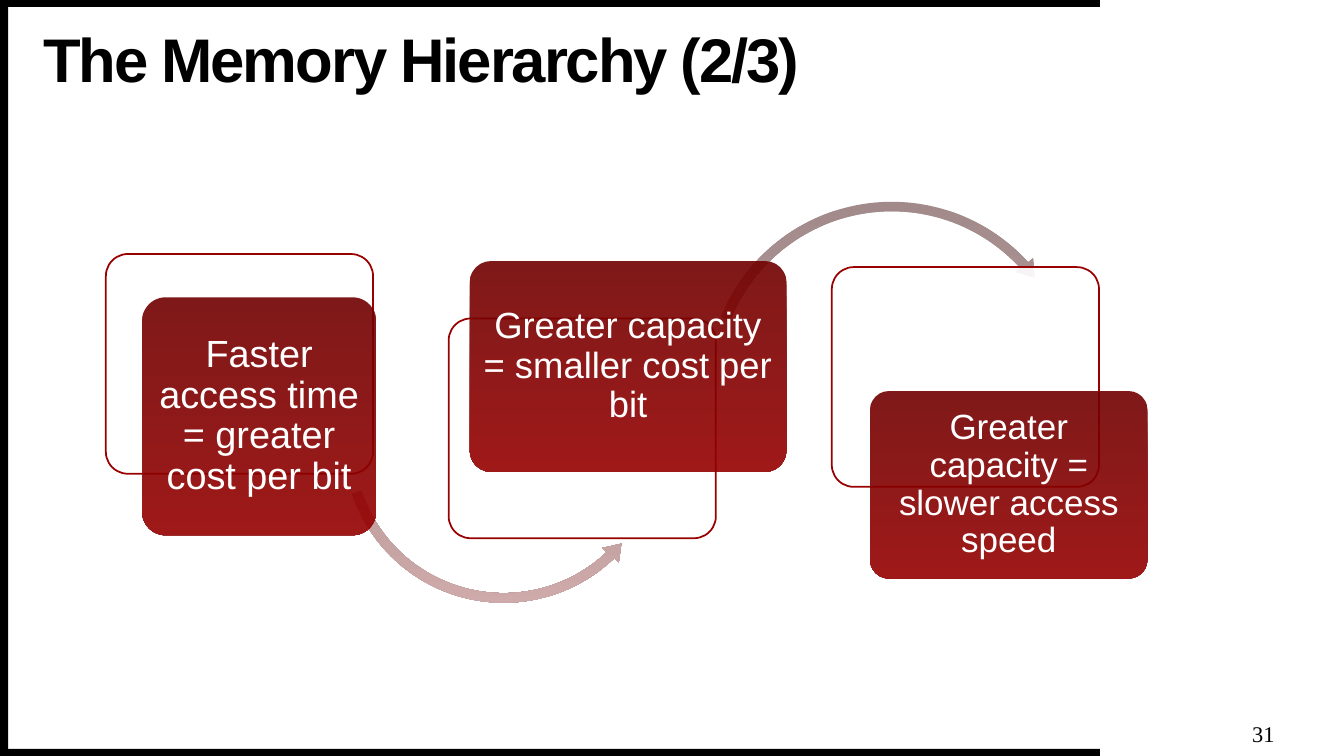
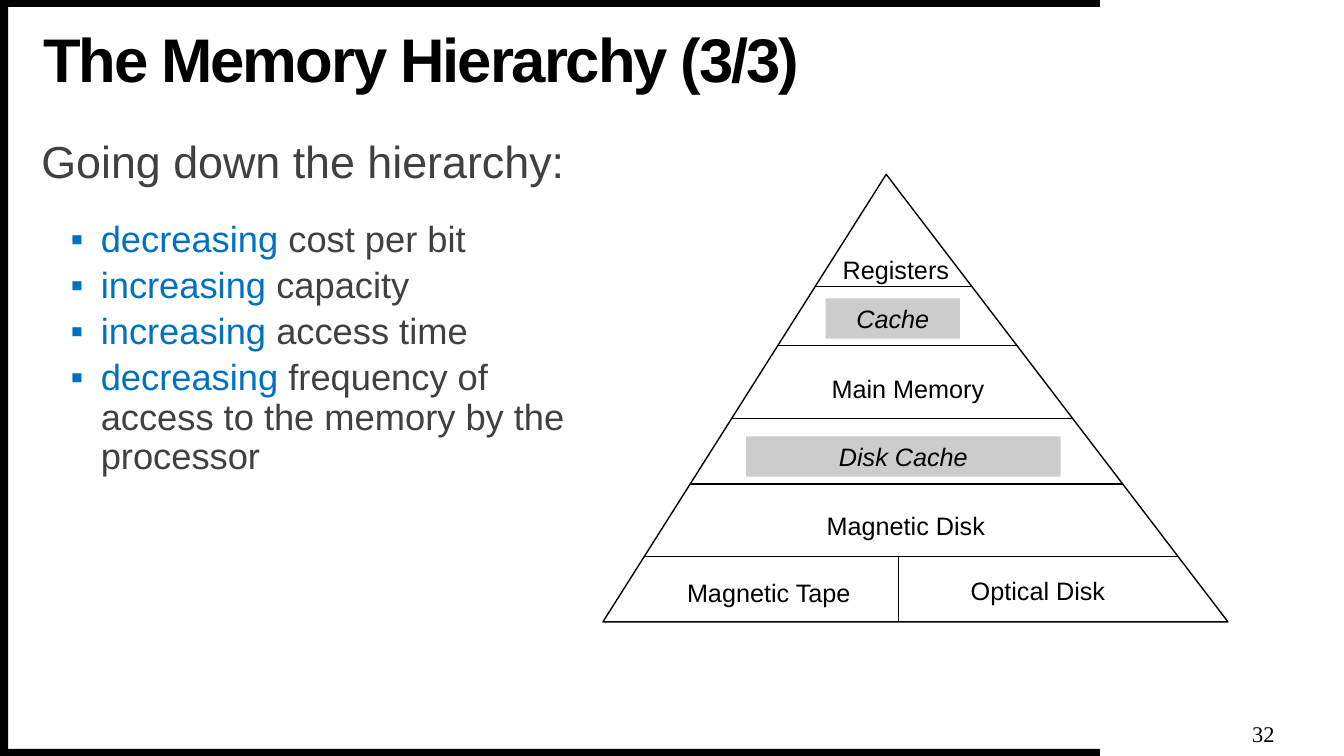
"""Builds two slides on the memory hierarchy."""
from dataclasses import dataclass
from typing import NamedTuple, Optional

from lxml import etree
from pptx import Presentation
from pptx.dml.color import RGBColor
from pptx.enum.shapes import MSO_CONNECTOR, MSO_SHAPE
from pptx.enum.text import MSO_ANCHOR, PP_ALIGN
from pptx.oxml.ns import qn
from pptx.util import Inches, Pt

BLACK = RGBColor(0x00, 0x00, 0x00)
WHITE = RGBColor(0xFF, 0xFF, 0xFF)
DARK_GREY = RGBColor(0x40, 0x40, 0x40)
LIGHT_GREY = RGBColor(0xCC, 0xCC, 0xCC)
BLUE = RGBColor(0x00, 0x70, 0xC0)
RED = RGBColor(0x99, 0x00, 0x00)
CARD_COLORS = (RGBColor(0x72, 0x00, 0x00), RGBColor(0x95, 0x00, 0x00))
ARROW_COLORS = (RGBColor(0x98, 0x7E, 0x7E), RGBColor(0xCA, 0xA1, 0xA1))

RECTANGLE = MSO_SHAPE.RECTANGLE
ROUNDED = MSO_SHAPE.ROUNDED_RECTANGLE
ARROW_OVER = MSO_SHAPE.CIRCULAR_ARROW
ARROW_UNDER = MSO_SHAPE.LEFT_CIRCULAR_ARROW
STRAIGHT = MSO_CONNECTOR.STRAIGHT
LEFT = PP_ALIGN.LEFT
CENTER = PP_ALIGN.CENTER
TOP = MSO_ANCHOR.TOP
MIDDLE = MSO_ANCHOR.MIDDLE

SANS = "Arial"
SERIF = "Times New Roman"
SLIDE_WIDTH, SLIDE_HEIGHT = 13.33, 7.5
BAND_LENGTH, BAND_THICKNESS = 10.91, 0.07


class Box(NamedTuple):
    left: float
    top: float
    width: float
    height: float

    def emu(self):
        return tuple(Inches(value) for value in self)


class Point(NamedTuple):
    x: float
    y: float


@dataclass(frozen=True)
class Arrow:
    kind: int
    box: Box
    adjustments: tuple


@dataclass(frozen=True)
class Step:
    text: str
    size: int
    outline: Point
    card: Box
    arrow: Optional[Arrow] = None


@dataclass(frozen=True)
class Level:
    text: str
    left: float
    top: float
    width: float
    shaded: bool = False


BANDS = (
    Box(0, SLIDE_HEIGHT - BAND_THICKNESS, BAND_LENGTH, BAND_THICKNESS),
    Box(0, 0, BAND_LENGTH, BAND_THICKNESS),
    Box(0, 0, 0.08, SLIDE_HEIGHT),
)
TITLE_BOX = Box(0.43, 0.25, 10.06, 0.74)
NUMBER_BOX = Box(12.38, 7.13, 0.3, 0.3)

STEPS = (
    Step("Faster access time = greater cost per bit", 27, Point(1.05, 2.52),
         Box(1.41, 2.95, 2.32, 2.36),
         Arrow(ARROW_UNDER, Box(3.35, 2.75, 3.29, 3.29),
               (0.029, 3.507, 27.823, 96.805, 0.033))),
    Step("Greater capacity = smaller cost per bit", 26, Point(4.45, 3.16),
         Box(4.66, 2.59, 3.14, 2.09),
         Arrow(ARROW_OVER, Box(6.96, 1.94, 3.77, 3.77),
               (0.025, 3.028, 190.639, 121.178, 0.029))),
    Step("Greater capacity = slower access speed", 25, Point(8.25, 2.65),
         Box(8.63, 3.88, 2.75, 1.86)),
)

TRENDS = (
    ("decreasing", " cost per bit"),
    ("increasing", " capacity"),
    ("increasing", " access time"),
    ("decreasing", " frequency of access to the memory by the processor"),
)

APEX = Point(8.79, 1.73)
BASE_LEFT = Point(5.98, 6.17)
BASE_RIGHT = Point(12.18, 6.17)
DIVIDER_TOPS = (2.84, 3.43, 4.15, 4.8, 5.52)
STORAGE_SPLIT = 8.91
LEVELS = (
    Level("Registers", 8.26, 2.47, 1.25),
    Level("Cache", 8.19, 2.96, 1.33, shaded=True),
    Level("Main Memory", 8.15, 3.65, 1.71),
    Level("Disk Cache", 7.4, 4.33, 3.12, shaded=True),
    Level("Magnetic Disk", 8.1, 5.01, 1.77),
    Level("Magnetic Tape", 6.7, 5.68, 1.85),
    Level("Optical Disk", 9.53, 5.66, 1.53),
)


def add_plain_shape(slide, kind, box: Box, fill: Optional[RGBColor] = None):
    shape = slide.shapes.add_shape(kind, *box.emu())
    shape.shadow.inherit = False
    shape.line.fill.background()
    if fill is not None:
        shape.fill.solid()
        shape.fill.fore_color.rgb = fill
    return shape


def fill_gradient(shape, colors: tuple) -> None:
    shape.fill.gradient()
    shape.fill.gradient_angle = 270
    for stop, color in zip(shape.fill.gradient_stops, colors):
        stop.color.rgb = color


def make_translucent(shape) -> None:
    for color in shape._element.spPr.iter(qn("a:srgbClr")):
        etree.SubElement(color, qn("a:alpha")).set("val", "90000")


def set_frame(shape, horizontal: float = 0, vertical: float = 0,
              anchor=MIDDLE):
    frame = shape.text_frame
    frame.word_wrap = True
    frame.vertical_anchor = anchor
    frame.margin_left = frame.margin_right = Inches(horizontal)
    frame.margin_top = frame.margin_bottom = Inches(vertical)
    return frame


def style_paragraph(paragraph, size: float, color: RGBColor, align=LEFT,
                    spacing: float = 1.0, font_name: str = SANS) -> None:
    paragraph.alignment = align
    paragraph.line_spacing = spacing
    paragraph.font.name = font_name
    paragraph.font.size = Pt(size)
    paragraph.font.color.rgb = color


def add_text(frame, text: str, size: float, color: RGBColor, **style):
    paragraph = frame.paragraphs[0]
    paragraph.add_run().text = text
    style_paragraph(paragraph, size, color, **style)
    return paragraph


def add_bullet(paragraph) -> None:
    properties = paragraph._p.get_or_add_pPr()
    properties.set("marL", str(Inches(0.59)))
    properties.set("indent", str(Inches(-0.3)))
    bullet_color = etree.Element(qn("a:buClr"))
    etree.SubElement(bullet_color, qn("a:srgbClr")).set("val", str(BLUE))
    bullet_font = etree.Element(qn("a:buFont"))
    bullet_font.set("typeface", SANS)
    bullet = etree.Element(qn("a:buChar"))
    bullet.set("char", "▪")
    defaults = properties.find(qn("a:defRPr"))
    for part in (bullet_color, bullet_font, bullet):
        defaults.addprevious(part)


def add_line(slide, start: Point, end: Point) -> None:
    line = slide.shapes.add_connector(
        STRAIGHT, *(Inches(value) for value in (*start, *end)))
    line.line.color.rgb = BLACK
    line.line.width = Pt(1)
    etree.SubElement(line._element.spPr, qn("a:effectLst"))


def add_framed_slide(presentation, title: str, number: int):
    slide = presentation.slides.add_slide(presentation.slide_layouts[6])
    for band in BANDS:
        add_plain_shape(slide, RECTANGLE, band, BLACK)
    title_frame = set_frame(slide.shapes.add_textbox(*TITLE_BOX.emu()))
    heading = add_text(title_frame, title, 44, BLACK, spacing=0.9)
    heading.font.bold = True
    heading.runs[0]._r.get_or_add_rPr().set("spc", "-150")
    number_frame = set_frame(slide.shapes.add_textbox(*NUMBER_BOX.emu()))
    add_text(number_frame, str(number), 16, BLACK, align=CENTER,
             font_name=SERIF)
    return slide


def add_step(slide, step: Step) -> None:
    outline = add_plain_shape(slide, ROUNDED, Box(*step.outline, 2.65, 2.18),
                              WHITE)
    outline.adjustments[0] = 0.1
    make_translucent(outline)
    outline.line.color.rgb = RED
    outline.line.width = Pt(1.25)
    if step.arrow is not None:
        arrow = add_plain_shape(slide, step.arrow.kind, step.arrow.box)
        for index, value in enumerate(step.arrow.adjustments):
            arrow.adjustments[index] = value
        fill_gradient(arrow, ARROW_COLORS)
        make_translucent(arrow)
    card = add_plain_shape(slide, ROUNDED, step.card)
    card.adjustments[0] = 0.1
    fill_gradient(card, CARD_COLORS)
    make_translucent(card)
    add_text(set_frame(card, 0.05, 0.04), step.text, step.size, WHITE,
             align=CENTER, spacing=0.9)


def add_trends(slide) -> None:
    body = slide.shapes.add_textbox(*Box(0.41, 1.39, 5.47, 5.12).emu())
    frame = set_frame(body, anchor=TOP)
    lead = add_text(frame, "Going down the hierarchy:", 32, DARK_GREY,
                    spacing=0.9)
    lead.space_before = Pt(10)
    for index, (direction, quantity) in enumerate(TRENDS):
        item = frame.add_paragraph()
        direction_run = item.add_run()
        direction_run.text = direction
        item.add_run().text = quantity
        style_paragraph(item, 25.9, DARK_GREY, spacing=0.9)
        direction_run.font.color.rgb = BLUE
        item.space_before = Pt(5 if index else 23.3)
        add_bullet(item)


def point_on_side(corner: Point, y: float) -> Point:
    share = (y - APEX.y) / (corner.y - APEX.y)
    return Point(APEX.x + share * (corner.x - APEX.x), y)


def add_pyramid(slide) -> None:
    corners = [(Inches(corner.x), Inches(corner.y))
               for corner in (APEX, BASE_RIGHT, BASE_LEFT)]
    builder = slide.shapes.build_freeform(*corners[0])
    builder.add_line_segments(corners[1:], close=True)
    pyramid = builder.convert_to_shape()
    pyramid.shadow.inherit = False
    pyramid.fill.background()
    pyramid.line.color.rgb = BLACK
    pyramid.line.width = Pt(1)
    for y in DIVIDER_TOPS:
        add_line(slide, point_on_side(BASE_LEFT, y),
                 point_on_side(BASE_RIGHT, y))
    add_line(slide, Point(STORAGE_SPLIT, DIVIDER_TOPS[-1]),
             Point(STORAGE_SPLIT, BASE_LEFT.y))
    for level in LEVELS:
        add_level(slide, level)


def add_level(slide, level: Level) -> None:
    box = Box(level.left, level.top, level.width, 0.4)
    if level.shaded:
        label = add_plain_shape(slide, RECTANGLE, box, LIGHT_GREY)
    else:
        label = slide.shapes.add_textbox(*box.emu())
    frame = set_frame(label, vertical=0.05, anchor=TOP)
    paragraph = add_text(frame, level.text, 18, BLACK, align=CENTER)
    paragraph.font.italic = level.shaded


def main() -> None:
    presentation = Presentation()
    presentation.slide_width = Inches(SLIDE_WIDTH)
    presentation.slide_height = Inches(SLIDE_HEIGHT)
    tradeoffs = add_framed_slide(presentation, "The Memory Hierarchy (2/3)", 31)
    for step in STEPS:
        add_step(tradeoffs, step)
    hierarchy = add_framed_slide(presentation, "The Memory Hierarchy (3/3)", 32)
    add_trends(hierarchy)
    add_pyramid(hierarchy)
    presentation.save("out.pptx")


if __name__ == "__main__":
    main()
